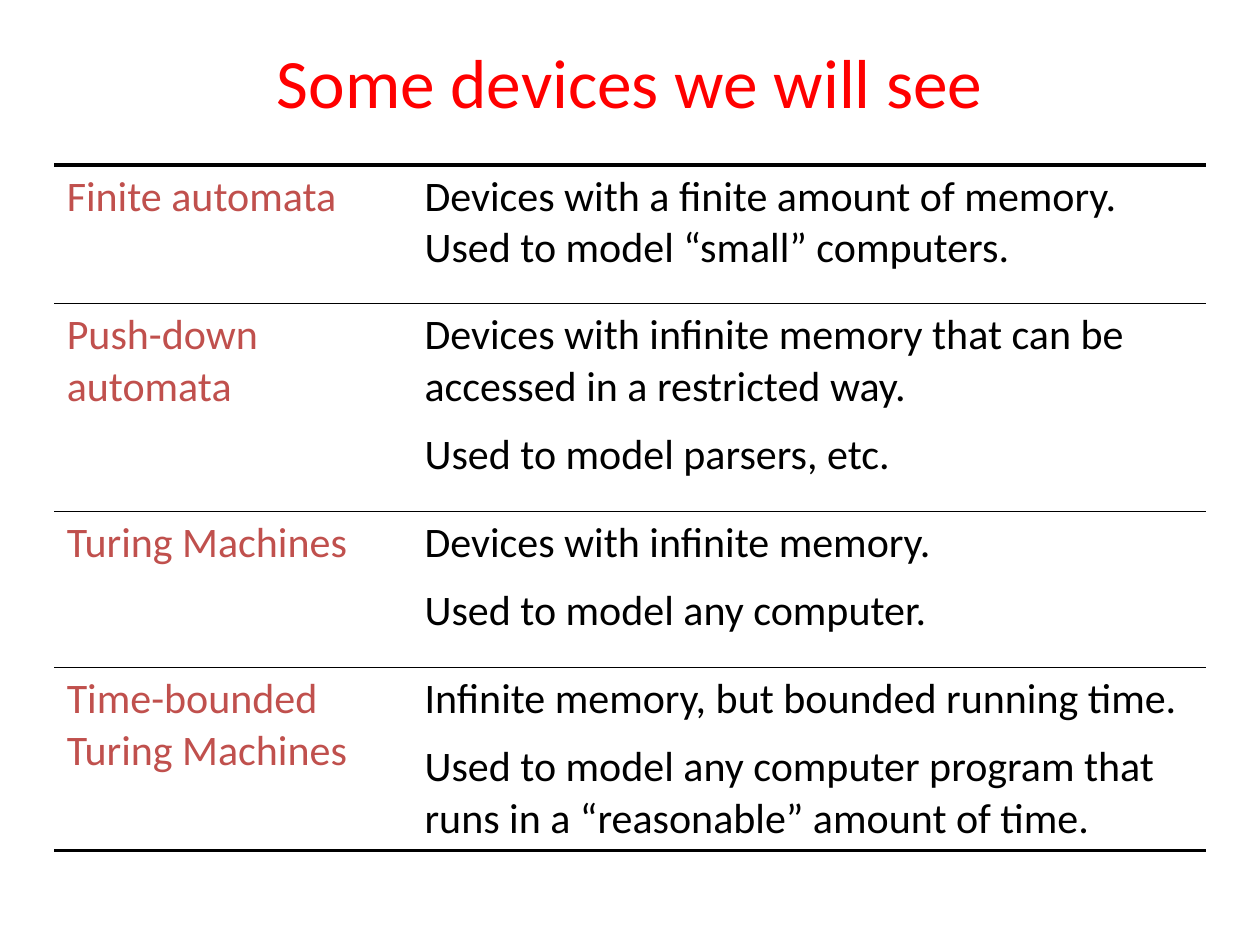
from pptx import Presentation
from pptx.dml.color import RGBColor
from pptx.enum.text import MSO_ANCHOR, PP_ALIGN
from pptx.oxml import parse_xml
from pptx.oxml.ns import nsdecls
from pptx.util import Inches, Pt

MIDDLE = MSO_ANCHOR.MIDDLE
CENTER = PP_ALIGN.CENTER
BLANK = 6
THIN, THICK = 1, 2.25

COLUMNS = (2.84, 6.3)
ROWS = (
    (1.1, "Finite automata",
     ["Devices with a finite amount of memory.\vUsed to model “small” computers."]),
    (1.65, "Push-down automata",
     ["Devices with infinite memory that can be accessed in a restricted way.",
      "Used to model parsers, etc."]),
    (1.24, "Turing Machines",
     ["Devices with infinite memory.", "Used to model any computer."]),
    (1.45, "Time-bounded Turing Machines",
     ["Infinite memory, but bounded running time.",
      "Used to model any computer program that runs in a “reasonable” amount of time."]),
)


def rgb(value):
    return RGBColor.from_string(value)


def write(tf, paragraphs, size=24, color="000000", align=None, gap=0):
    tf.word_wrap = True
    for i, text in enumerate(paragraphs):
        p = tf.add_paragraph() if i else tf.paragraphs[0]
        p.text = text
        p.alignment = align
        p.space_before = Pt(gap if i else 0)
        for r in p.runs:
            r.font.name = Deck.font
            r.font.size = Pt(size)
            r.font.color.rgb = rgb(color)


class Deck:
    """Style of the deck and the slide being built."""

    font = "Calibri"
    title_color = "FF0000"
    term_color = "C0504D"
    line_color = "000000"

    def __init__(self, prs):
        self.s = prs.slides.add_slide(prs.slide_layouts[BLANK])

    def title(self, text, left, top, width, height):
        sp = self.s.shapes.add_textbox(
            Inches(left), Inches(top), Inches(width), Inches(height))
        tf = sp.text_frame
        tf.vertical_anchor = MIDDLE
        write(tf, [text], size=39.6, color=self.title_color, align=CENTER)

    def border(self, cell, side, width=0):
        fill = (f'<a:solidFill><a:srgbClr val="{self.line_color}"/></a:solidFill>'
                if width else "<a:noFill/>")
        cell._tc.get_or_add_tcPr().append(parse_xml(
            f'<a:ln{side} {nsdecls("a")} w="{Pt(width)}">{fill}</a:ln{side}>'))

    def table(self, rows, columns, left, top):
        height = sum(row[0] for row in rows)
        table = self.s.shapes.add_table(
            len(rows), len(columns), Inches(left), Inches(top),
            Inches(sum(columns)), Inches(height)).table
        table.first_row = table.horz_banding = False
        for column, width in zip(table.columns, columns):
            column.width = Inches(width)
        last = len(rows) - 1
        for i, (row_height, term, description) in enumerate(rows):
            table.rows[i].height = Inches(row_height)
            term_cell, description_cell = table.rows[i].cells
            write(term_cell.text_frame, [term], color=self.term_color)
            write(description_cell.text_frame, description, gap=9.6)
            for cell in (term_cell, description_cell):
                self.border(cell, "L")
                self.border(cell, "R")
                self.border(cell, "T", THIN if i else THICK)
                self.border(cell, "B", THICK if i == last else THIN)
                cell.fill.background()


def main():
    prs = Presentation()
    prs.slide_width, prs.slide_height = Inches(10), Inches(7.5)
    deck = Deck(prs)
    deck.title("Some devices we will see", 0.43, 0.28, 9.14, 0.72)
    deck.table(ROWS, COLUMNS, 0.43, 1.31)
    prs.save("out.pptx")


if __name__ == "__main__":
    main()
